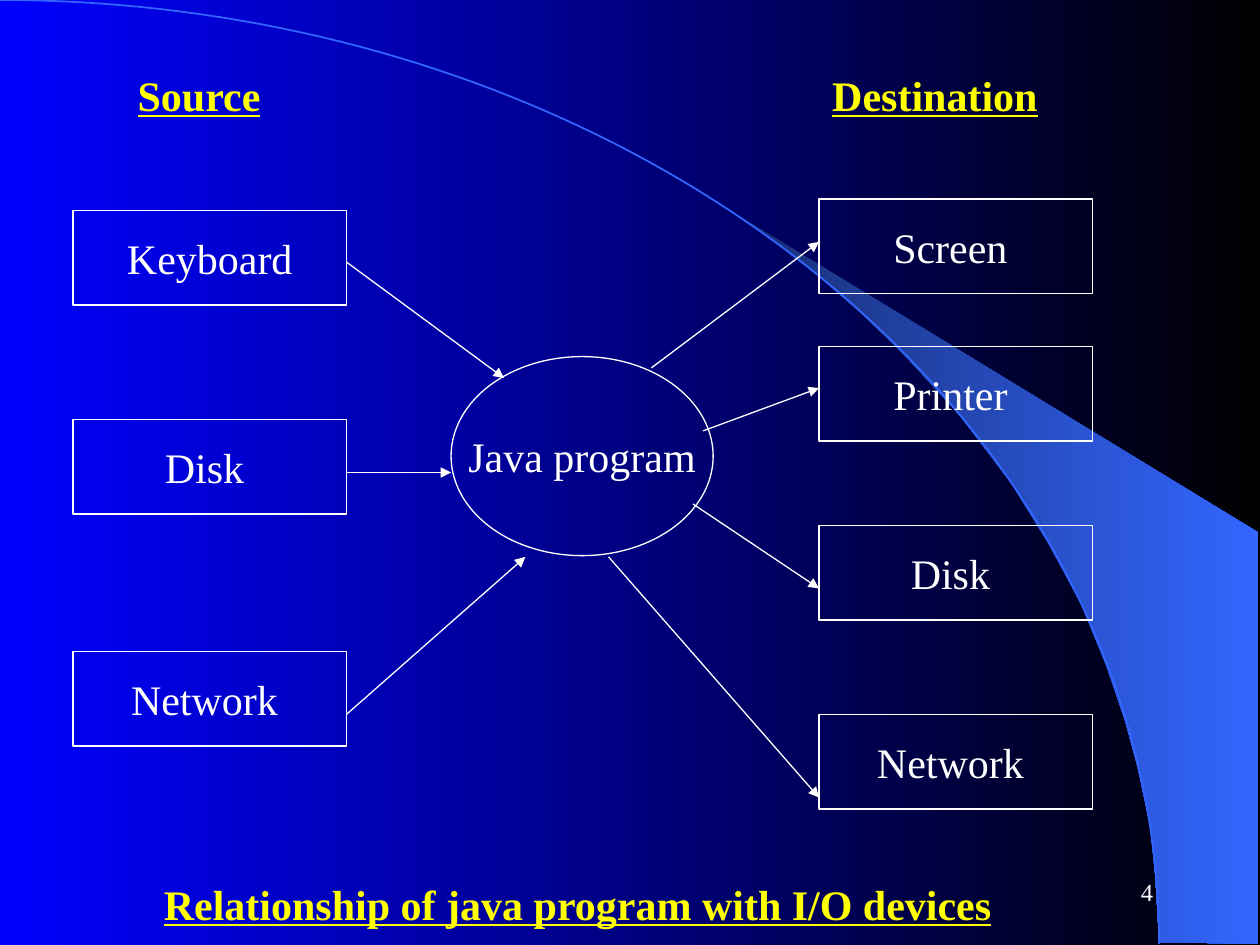
"""Draw the flow of data from sources through a Java program to destinations."""
import dataclasses
import math
import typing

import lxml.etree
import pptx
import pptx.dml.color
import pptx.enum.shapes
import pptx.enum.text
import pptx.oxml.ns
import pptx.util

Inches = pptx.util.Inches
Pt = pptx.util.Pt
Shape = pptx.enum.shapes.MSO_SHAPE
Align = pptx.enum.text.PP_ALIGN
Anchor = pptx.enum.text.MSO_ANCHOR
Point = typing.Tuple[float, float]


@dataclasses.dataclass(frozen=True)
class Theme:
    """Colours, type sizes and line widths."""
    face: str = "Times New Roman"
    white: str = "FFFFFF"
    gold: str = "FFFF00"
    blue: str = "0000FF"
    black: str = "000000"
    sky: str = "3366FF"
    navy: str = "182F76"
    body: float = 24
    small: float = 14
    gap: float = 15
    thin: float = 0.75
    curve: float = 1


@dataclasses.dataclass(frozen=True)
class Node:
    """A labelled outline shape."""
    text: str
    left: float
    top: float
    width: float = 2.17
    height: float = 0.75
    kind: typing.Any = Shape.RECTANGLE


@dataclasses.dataclass(frozen=True)
class Title:
    """An underlined heading."""
    text: str
    left: float
    top: float
    width: float


@dataclasses.dataclass(frozen=True)
class Arrow:
    """A line with a head at its end."""
    start: Point
    end: Point


THEME = Theme()
LEFT, RIGHT = 0.58, 6.5
INNER = LEFT + 2.17
NODES = [
    Node("Java program", 3.58, 2.83, 2.08, 1.58, Shape.OVAL),
    *(Node(text, LEFT, top) for text, top in
      [("Keyboard", 1.67), ("Disk ", 3.33), ("Network ", 5.17)]),
    *(Node(text, RIGHT, top) for text, top in
      [("Screen ", 1.58), ("Printer ", 2.75), ("Disk ", 4.17), ("Network ", 5.67)]),
]
TITLES = [
    Title("Source", LEFT, 0.5, 2),
    Title("Destination", 6.42, 0.5, 2),
    Title("Relationship of java program with I/O devices", 1, 6.92, 7.17),
]
ARROWS = [
    Arrow((INNER, 2.08), (4, 3)),
    Arrow((INNER, 3.75), (3.58, 3.75)),
    Arrow((INNER, 5.67), (4.17, 4.42)),
    Arrow((5.17, 2.92), (RIGHT, 1.92)),
    Arrow((5.58, 3.42), (RIGHT, 3.08)),
    Arrow((5.5, 4), (RIGHT, 4.67)),
    Arrow((4.83, 4.42), (RIGHT, 6.33)),
]
BEAM = [
    (9.2, 7.48), (9.99, 7.49), (9.99, 4.23), (5.89, 1.73), (6.24, 1.99),
    (6.53, 2.22), (6.85, 2.5), (7.16, 2.8), (7.62, 3.3), (8.03, 3.84),
    (8.32, 4.31), (8.58, 4.79), (8.78, 5.28), (8.93, 5.72), (9.03, 6.09),
    (9.13, 6.56), (9.17, 6.96),
]
ARC_WIDTH, ARC_HEIGHT, ARC_STEPS = 9.2, 7.49, 90


def tint(code: str) -> pptx.dml.color.RGBColor:
    """Turn a hex code into a colour."""
    return pptx.dml.color.RGBColor.from_string(code)


def shade(fill, first: str, last: str) -> None:
    """Fill from left to right with two colours."""
    fill.gradient()
    fill.gradient_angle = 0
    for stop, code in zip(fill.gradient_stops, (first, last)):
        stop.color.rgb = tint(code)


def stroke(line, code: str, width: float) -> None:
    """Set the colour and width of a line."""
    line.color.rgb = tint(code)
    line.width = Pt(width)


def write(frame, text: str, code: str, align, wrap: bool, anchor,
          size: float = THEME.body, gap: float = 0, **extra) -> None:
    """Put one formatted line into a text frame."""
    frame.word_wrap = wrap
    frame.vertical_anchor = anchor
    para = frame.paragraphs[0]
    para.alignment = align
    para.space_before = Pt(gap)
    run = para.add_run()
    run.text = text
    form = {"name": THEME.face, "size": Pt(size), **extra}
    for key, value in form.items():
        setattr(run.font, key, value)
    run.font.color.rgb = tint(code)


def outline(shapes, points: typing.Sequence[Point], close: bool):
    """Build a freeform through points given in inches."""
    spots = [(Inches(x), Inches(y)) for x, y in points]
    pen = shapes.build_freeform(*spots[0])
    pen.add_line_segments(spots[1:], close=close)
    shape = pen.convert_to_shape()
    shape.shadow.inherit = False
    return shape


def draw_scene(slide) -> None:
    """Draw the background, the beam and the arc."""
    shade(slide.background.fill, THEME.blue, THEME.black)
    beam = outline(slide.shapes, BEAM, True)
    shade(beam.fill, THEME.navy, THEME.sky)
    beam.line.fill.background()
    turns = [math.pi / 2 * step / ARC_STEPS for step in range(ARC_STEPS + 1)]
    points = [(ARC_WIDTH * math.sin(turn), ARC_HEIGHT * (1 - math.cos(turn)))
              for turn in turns]
    arc = outline(slide.shapes, points, False)
    arc.fill.background()
    stroke(arc.line, THEME.sky, THEME.curve)


def draw_node(shapes, node: Node) -> None:
    """Draw a labelled shape."""
    place = map(Inches, (node.left, node.top, node.width, node.height))
    shape = shapes.add_shape(node.kind, *place)
    shape.shadow.inherit = False
    shape.fill.background()
    stroke(shape.line, THEME.white, THEME.thin)
    write(shape.text_frame, node.text, THEME.white, Align.CENTER, False, Anchor.MIDDLE)


def draw_title(shapes, title: Title) -> None:
    """Draw a heading."""
    box = shapes.add_textbox(*map(Inches, (title.left, title.top, title.width, 0.5)))
    write(box.text_frame, title.text, THEME.gold, Align.CENTER, True, Anchor.TOP,
          gap=THEME.gap, bold=True, underline=True)


def draw_arrow(shapes, arrow: Arrow) -> None:
    """Draw a line with a triangle at its end."""
    kind = pptx.enum.shapes.MSO_CONNECTOR.STRAIGHT
    link = shapes.add_connector(kind, *map(Inches, arrow.start + arrow.end))
    stroke(link.line, THEME.white, THEME.thin)
    name = pptx.oxml.ns.qn
    props = link._element.spPr
    lxml.etree.SubElement(props.find(name("a:ln")), name("a:tailEnd"), type="triangle")
    lxml.etree.SubElement(props, name("a:effectLst"))


def main() -> None:
    """Build and save the slide."""
    deck = pptx.Presentation()
    deck.slide_width, deck.slide_height = Inches(10), Inches(7.5)
    slide = deck.slides.add_slide(deck.slide_layouts[6])
    shapes = slide.shapes
    draw_scene(slide)
    number = shapes.add_textbox(*map(Inches, (7.17, 6.83, 2.08, 0.5)))
    write(number.text_frame, "4", THEME.white, Align.RIGHT, True, Anchor.MIDDLE, THEME.small)
    for draw, items in ((draw_node, NODES), (draw_title, TITLES), (draw_arrow, ARROWS)):
        for item in items:
            draw(shapes, item)
    deck.save("out.pptx")


if __name__ == "__main__":
    main()
